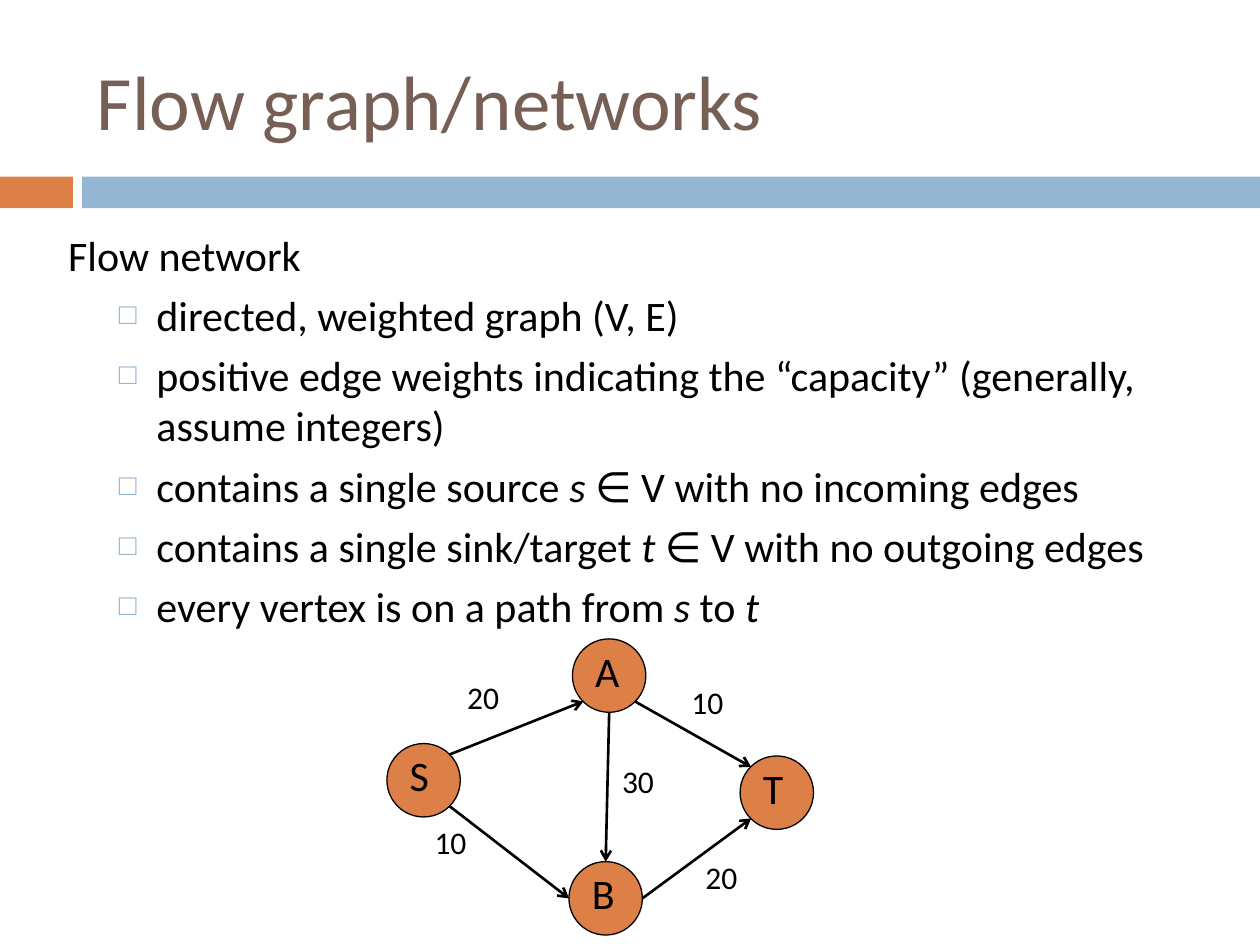
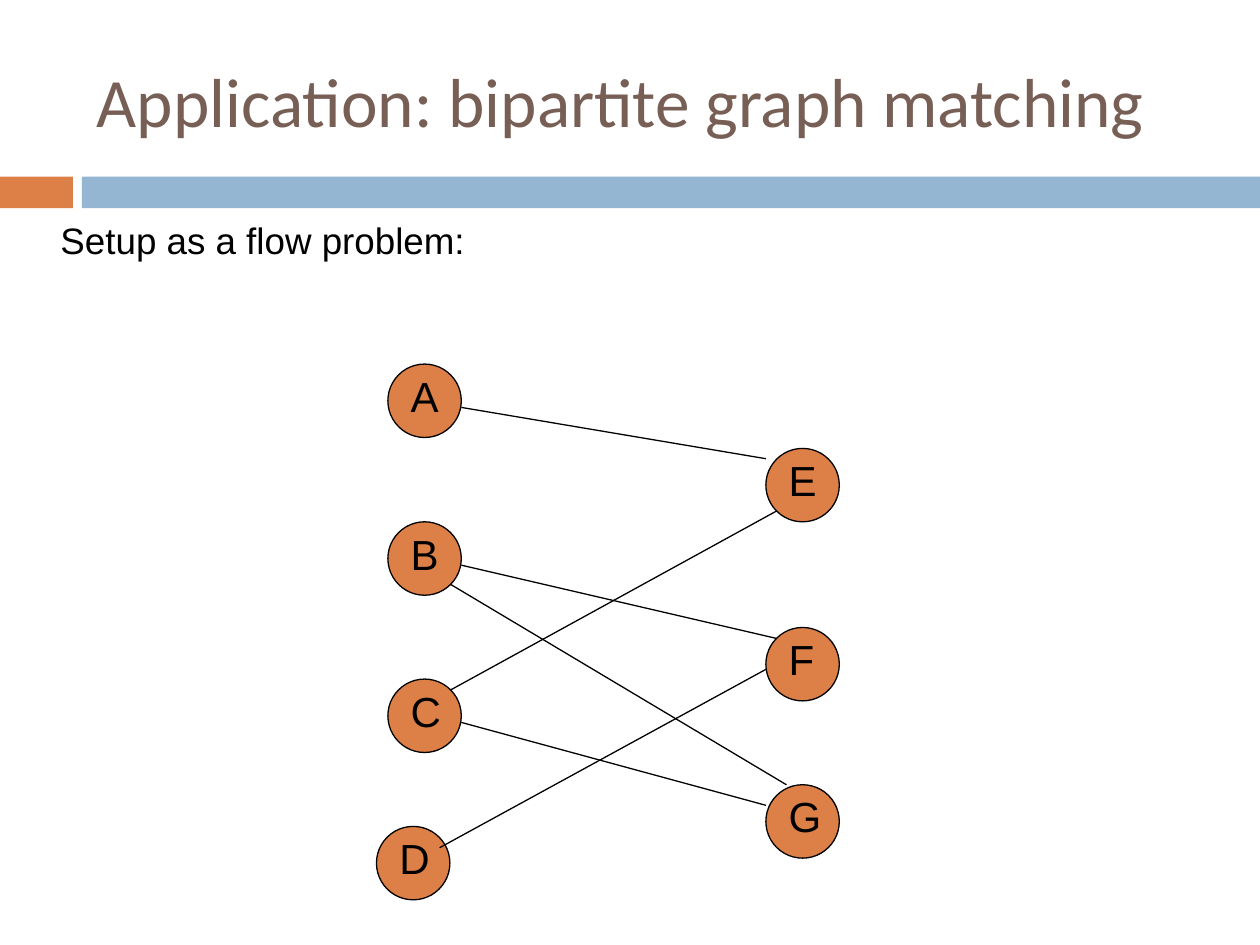
from typing import NamedTuple

from lxml import etree
from pptx import Presentation
from pptx.dml.color import RGBColor
from pptx.enum.shapes import MSO_CONNECTOR, MSO_SHAPE
from pptx.enum.text import MSO_ANCHOR, MSO_AUTO_SIZE, PP_ALIGN
from pptx.oxml.ns import qn
from pptx.util import Cm, Pt

ORANGE = RGBColor(0xDD, 0x80, 0x47)
BLUE = RGBColor(0x94, 0xB6, 0xD2)
BROWN = RGBColor(0x77, 0x5F, 0x55)
BLACK = RGBColor(0x00, 0x00, 0x00)
STRAIGHT = MSO_CONNECTOR.STRAIGHT
OVAL, RECTANGLE = MSO_SHAPE.OVAL, MSO_SHAPE.RECTANGLE
MIDDLE = MSO_ANCHOR.MIDDLE
NO_FIT, GROW = MSO_AUTO_SIZE.NONE, MSO_AUTO_SIZE.SHAPE_TO_FIT_TEXT
LEFT = PP_ALIGN.LEFT

CALIBRI, ARIAL = "Calibri", "Arial"
TITLE_LAYOUT, LIST_LAYOUT = 5, 1
NODE_SIZE = 1.48
LABEL_SIZE, LABEL_SHIFT = 1.27, 0.21


class Box(NamedTuple):
    """A rectangle in centimetres."""
    left: float
    top: float
    width: float
    height: float


class Band(NamedTuple):
    box: Box
    color: RGBColor


class Node(NamedTuple):
    left: float
    top: float


class Port(NamedTuple):
    """A point on a node, as fractions of the node's size."""
    x: float
    y: float


class Edge(NamedTuple):
    tail: str
    tail_port: Port
    head: str
    head_port: Port


class Capacity(NamedTuple):
    text: str
    left: float
    top: float


class Span(NamedTuple):
    text: str
    italic: bool = False


BANDS = [
    Band(Box(0, 3.56, 1.47, 0.64), ORANGE),
    Band(Box(1.65, 3.56, 23.75, 0.64), BLUE),
]
TITLE_BOX = Box(1.7, 0.64, 22.66, 2.74)
LIST_BOX = Box(1.12, 4.5, 22.91, 8.41)
SETUP_BOX = Box(0.97, 4.37, 22.86, 2.74)

TOP, BOTTOM = Port(0.5, 0), Port(0.5, 1)
LEFT_SIDE, RIGHT_SIDE = Port(0, 0.5), Port(1, 0.5)
TOP_LEFT, TOP_RIGHT = Port(0.15, 0.15), Port(0.85, 0.15)
BOTTOM_LEFT, BOTTOM_RIGHT = Port(0.15, 0.85), Port(0.85, 0.85)
LOW_RIGHT, LOW_LEFT = Port(1, 0.59), Port(0, 0.57)

DEFINITION = [
    [Span("directed, weighted graph (V, E)")],
    [Span("positive edge weights indicating the “capacity” (generally, assume integers)")],
    [Span("contains a single source "), Span("s ", True),
     Span("∈ V with no incoming edges")],
    [Span("contains a single sink/target "), Span("t ", True),
     Span("∈ V with no outgoing edges")],
    [Span("every vertex is on a path from "), Span("s", True),
     Span(" to "), Span("t", True)],
]

FLOW_NODES = {
    "S": Node(7.8, 14.99),
    "A": Node(11.54, 12.88),
    "B": Node(11.47, 17.37),
    "T": Node(14.92, 15.24),
}
FLOW_EDGES = [
    Edge("S", TOP_RIGHT, "A", BOTTOM_LEFT),
    Edge("S", BOTTOM_RIGHT, "B", LEFT_SIDE),
    Edge("B", RIGHT_SIDE, "T", BOTTOM_LEFT),
    Edge("A", BOTTOM, "B", TOP),
    Edge("A", BOTTOM_RIGHT, "T", TOP_LEFT),
]
CAPACITIES = [
    Capacity("20", 9.17, 13.54),
    Capacity("20", 13.97, 17.17),
    Capacity("10", 8.51, 16.46),
    Capacity("10", 13.69, 13.64),
    Capacity("30", 12.29, 15.24),
]

LEFT_COLUMN, RIGHT_COLUMN = 7.82, 15.44
MATCHING_NODES = {
    "A": Node(LEFT_COLUMN, 7.34),
    "B": Node(LEFT_COLUMN, 10.52),
    "C": Node(LEFT_COLUMN, 13.69),
    "E": Node(RIGHT_COLUMN, 9.04),
    "D": Node(7.59, 16.66),
    "F": Node(RIGHT_COLUMN, 12.65),
    "G": Node(RIGHT_COLUMN, 15.82),
}
MATCHING_EDGES = [
    Edge("D", Port(0.86, 0.29), "F", LOW_LEFT),
    Edge("C", LOW_RIGHT, "G", Port(0, 0.28)),
    Edge("C", TOP_RIGHT, "E", BOTTOM_LEFT),
    Edge("B", LOW_RIGHT, "F", TOP_LEFT),
    Edge("A", LOW_RIGHT, "E", Port(0, 0.14)),
    Edge("B", BOTTOM_RIGHT, "G", Port(0.28, 0)),
]


def lengths(box: Box) -> list[Cm]:
    return [Cm(value) for value in box]


def place(sp, box: Box) -> None:
    sp.left, sp.top, sp.width, sp.height = lengths(box)


def add_run(p, text: str, size: float, font: str = CALIBRI,
            color: RGBColor = BLACK, italic: bool = False) -> None:
    r = p.add_run()
    r.text = text
    r.font.name, r.font.size = font, Pt(size)
    r.font.color.rgb = color
    if italic:
        r.font.italic = True


def add_text(shapes, box: Box, text: str, size: float, font: str = CALIBRI):
    """Add a wrapping one-paragraph text box and return its paragraph."""
    tf = shapes.add_textbox(*lengths(box)).text_frame
    tf.word_wrap = True
    tf.auto_size = GROW
    p = tf.paragraphs[0]
    add_run(p, text, size, font)
    return p


def add_slide(prs, layout: int, title: str, size: float):
    """Add a slide with the shared bands and title style."""
    s = prs.slides.add_slide(prs.slide_layouts[layout])
    for band in BANDS:
        sp = s.shapes.add_shape(RECTANGLE, *lengths(band.box))
        sp.shadow.inherit = False
        sp.fill.solid()
        sp.fill.fore_color.rgb = band.color
        sp.line.fill.background()
    place(s.shapes.title, TITLE_BOX)
    tf = s.shapes.title.text_frame
    tf.auto_size, tf.vertical_anchor = NO_FIT, MIDDLE
    p = tf.paragraphs[0]
    p.alignment = LEFT
    add_run(p, title, size, color=BROWN)
    return s


def set_bullet(p) -> None:
    """Give a paragraph a small hollow blue square and a hanging indent."""
    pPr = p._p.get_or_add_pPr()
    pPr.set("marL", str(Cm(1.78)))
    pPr.set("indent", str(Cm(-0.76)))
    color = etree.SubElement(pPr, qn("a:buClr"))
    etree.SubElement(color, qn("a:srgbClr"), val=str(BLUE))
    etree.SubElement(pPr, qn("a:buSzPct"), val="70000")
    etree.SubElement(pPr, qn("a:buFont"), typeface=ARIAL)
    etree.SubElement(pPr, qn("a:buChar"), char="□")


def fill_list(body, heading: str, items: list[list[Span]]) -> None:
    place(body, LIST_BOX)
    tf = body.text_frame
    tf.auto_size = NO_FIT
    p = tf.paragraphs[0]
    pPr = p._p.get_or_add_pPr()
    pPr.set("marL", "0")
    pPr.set("indent", "0")
    etree.SubElement(pPr, qn("a:buNone"))
    p.space_before = Pt(0)
    add_run(p, heading, 24)
    for spans in items:
        p = tf.add_paragraph()
        p.level = 1
        set_bullet(p)
        p.space_before = Pt(5.5)
        for span in spans:
            add_run(p, span.text, 24, italic=span.italic)


def add_node(s, name: str, node: Node, font: str) -> None:
    shapes = s.shapes.add_group_shape().shapes
    sp = shapes.add_shape(OVAL, *lengths(Box(*node, NODE_SIZE, NODE_SIZE)))
    sp.shadow.inherit = False
    sp.fill.solid()
    sp.fill.fore_color.rgb = ORANGE
    sp.line.color.rgb, sp.line.width = BLACK, Pt(0.75)
    label = Box(node.left + LABEL_SHIFT, node.top, LABEL_SIZE, LABEL_SIZE)
    add_text(shapes, label, name, 24, font)


def port_point(node: Node, port: Port) -> tuple[Cm, Cm]:
    return (Cm(node.left + port.x * NODE_SIZE),
            Cm(node.top + port.y * NODE_SIZE))


def add_edge(s, nodes: dict[str, Node], edge: Edge, width: float,
             directed: bool) -> None:
    line = s.shapes.add_connector(
        STRAIGHT, *port_point(nodes[edge.tail], edge.tail_port),
        *port_point(nodes[edge.head], edge.head_port))
    line.line.color.rgb, line.line.width = BLACK, Pt(width)
    spPr = line._element.spPr
    if directed:
        etree.SubElement(spPr.find(qn("a:ln")), qn("a:tailEnd"), type="arrow")
    etree.SubElement(spPr, qn("a:effectLst"))


def draw_graph(s, nodes: dict[str, Node], edges: list[Edge], font: str,
               width: float, directed: bool) -> None:
    for name, node in nodes.items():
        add_node(s, name, node, font)
    for edge in edges:
        add_edge(s, nodes, edge, width, directed)


def build_flow_network(prs) -> None:
    s = add_slide(prs, LIST_LAYOUT, "Flow graph/networks", 44)
    fill_list(s.placeholders[1], "Flow network", DEFINITION)
    draw_graph(s, FLOW_NODES, FLOW_EDGES, CALIBRI, 1.5, directed=True)
    for capacity in CAPACITIES:
        box = Box(capacity.left, capacity.top, 1.9, 1.02)
        add_text(s.shapes, box, capacity.text, 18)


def build_matching(prs) -> None:
    s = add_slide(prs, TITLE_LAYOUT, "Application: bipartite graph matching", 39.6)
    p = add_text(s.shapes, SETUP_BOX, "Setup as a flow problem:", 21, ARIAL)
    p.line_spacing = 0.9
    draw_graph(s, MATCHING_NODES, MATCHING_EDGES, ARIAL, 0.75, directed=False)


def main() -> None:
    prs = Presentation()
    prs.slide_width, prs.slide_height = Cm(25.4), Cm(19.05)
    build_flow_network(prs)
    build_matching(prs)
    prs.save("out.pptx")


if __name__ == "__main__":
    main()
